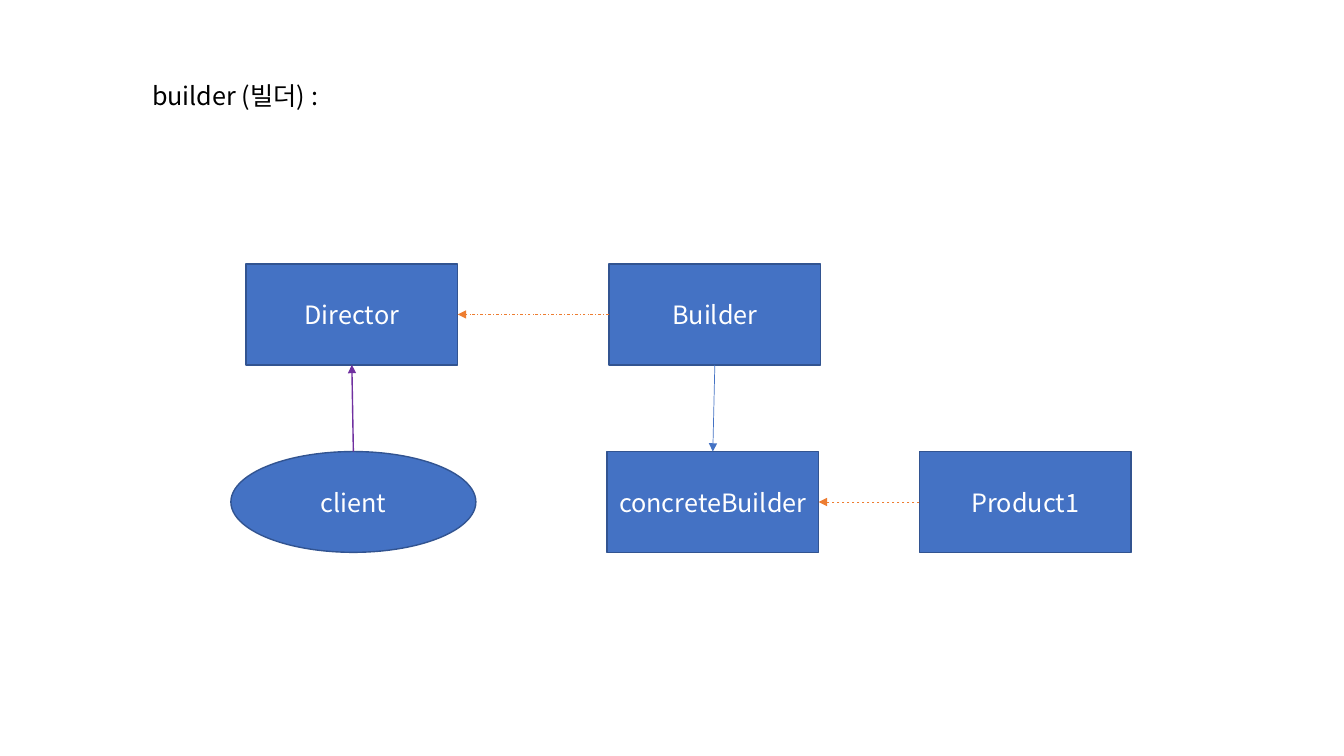
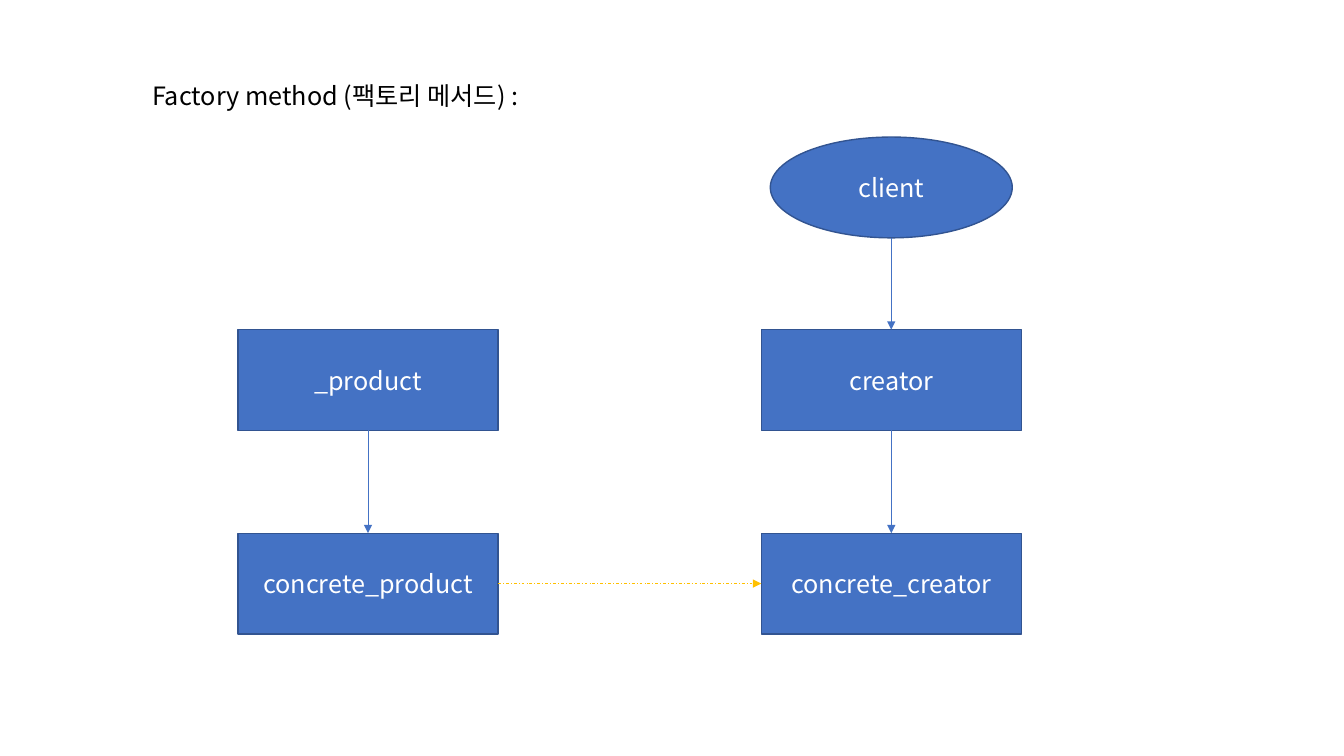
from dataclasses import dataclass

from lxml.etree import SubElement
from pptx import Presentation
from pptx.dml.color import RGBColor
from pptx.enum.dml import MSO_LINE as Dash
from pptx.enum.shapes import MSO_CONNECTOR as Connector, MSO_SHAPE as Shape
from pptx.enum.text import MSO_ANCHOR as Anchor, MSO_AUTO_SIZE as AutoSize, PP_ALIGN as Align
from pptx.oxml.ns import qn
from pptx.util import Inches, Pt


@dataclass(frozen=True)
class Theme:
    font: str = "Noto Sans CJK KR"
    size: int = 18
    black: str = "000000"
    white: str = "FFFFFF"
    blue: str = "4472C4"
    outline: str = "325491"
    orange: str = "ED7D31"
    purple: str = "7030A0"
    gold: str = "FFC000"
    thin: float = 0.5
    thick: float = 1


THEME = Theme()
TOP, LEFT, BOTTOM, RIGHT = range(4)
BOX_HEIGHT = 1


def write(frame, text, color):
    """Put one line of text in a frame, in the shared type style."""
    para = frame.paragraphs[0]
    span = para.add_run()
    span.text = text
    font = span.font
    font.name, font.size = THEME.font, Pt(THEME.size)
    font.color.rgb = RGBColor.from_string(color)
    # Hangul takes its font from the East Asian slot
    SubElement(span._r.get_or_add_rPr(), qn("a:ea"), typeface=THEME.font)
    return para


def side_point(box, side):
    """Middle of one side of a box."""
    across = {LEFT: 0, RIGHT: box.width}.get(side, box.width // 2)
    down = {TOP: 0, BOTTOM: box.height}.get(side, box.height // 2)
    return box.left + across, box.top + down


# Slide content: boxes are (name, shape, left, top, width),
# arrows are (from, side, to, side, color, line width, dash)
RECT, OVAL = Shape.RECTANGLE, Shape.OVAL
SLIDES = [
    {
        "title": "builder (빌더) :",
        "title_width": 1.98,
        "boxes": [
            ("Director", RECT, 2.44, 2.62, 2.1),
            ("Builder", RECT, 6.04, 2.62, 2.1),
            ("concreteBuilder", RECT, 6.02, 4.48, 2.1),
            ("Product1", RECT, 9.12, 4.48, 2.1),
            ("client", OVAL, 2.29, 4.48, 2.43),
        ],
        "arrows": [
            ("Builder", BOTTOM, "concreteBuilder", TOP, THEME.blue, THEME.thin, None),
            ("Builder", LEFT, "Director", RIGHT, THEME.orange, THEME.thin, Dash.DASH_DOT),
            ("Product1", LEFT, "concreteBuilder", RIGHT, THEME.orange, THEME.thin, Dash.DASH),
            ("client", TOP, "Director", BOTTOM, THEME.purple, THEME.thick, None),
        ],
    },
    {
        "title": "Factory method (팩토리 메서드) :",
        "title_width": 4.1,
        "boxes": [
            ("_product", RECT, 2.36, 3.27, 2.58),
            ("concrete_product", RECT, 2.36, 5.29, 2.58),
            ("creator", RECT, 7.55, 3.27, 2.58),
            ("concrete_creator", RECT, 7.55, 5.29, 2.58),
            ("client", OVAL, 7.64, 1.36, 2.4),
        ],
        "arrows": [
            ("_product", BOTTOM, "concrete_product", TOP, THEME.blue, THEME.thin, None),
            ("creator", BOTTOM, "concrete_creator", TOP, THEME.blue, THEME.thin, None),
            ("client", BOTTOM, "creator", TOP, THEME.blue, THEME.thin, None),
            ("concrete_product", RIGHT, "concrete_creator", LEFT, THEME.gold, THEME.thin, Dash.DASH_DOT),
        ],
    },
]

deck = Presentation()
deck.slide_width, deck.slide_height = Inches(13.33), Inches(7.5)

for content in SLIDES:
    page = deck.slides.add_slide(deck.slide_layouts[6])

    # Title
    title = page.shapes.add_textbox(
        Inches(1.41), Inches(0.75), Inches(content["title_width"]), Inches(0.4))
    title.text_frame.word_wrap = False
    title.text_frame.auto_size = AutoSize.SHAPE_TO_FIT_TEXT
    write(title.text_frame, content["title"], THEME.black)

    # Boxes
    boxes = {}
    for name, kind, left, top, width in content["boxes"]:
        box = page.shapes.add_shape(
            kind, Inches(left), Inches(top), Inches(width), Inches(BOX_HEIGHT))
        box.shadow.inherit = False
        box.fill.solid()
        box.fill.fore_color.rgb = RGBColor.from_string(THEME.blue)
        box.line.color.rgb = RGBColor.from_string(THEME.outline)
        box.line.width = Pt(THEME.thick)
        box.text_frame.vertical_anchor = Anchor.MIDDLE
        write(box.text_frame, name, THEME.white).alignment = Align.CENTER
        boxes[name] = box

    # Arrows
    for source, source_side, target, target_side, color, width, dash in content["arrows"]:
        start, end = boxes[source], boxes[target]
        arrow = page.shapes.add_connector(
            Connector.STRAIGHT, *side_point(start, source_side), *side_point(end, target_side))
        # An oval shares only its top connection site with a rectangle
        if start.auto_shape_type == RECT or source_side == TOP:
            arrow.begin_connect(start, source_side)
        arrow.end_connect(end, target_side)
        arrow.line.color.rgb = RGBColor.from_string(color)
        arrow.line.width = Pt(width)
        if dash:
            arrow.line.dash_style = dash
        SubElement(arrow.line._get_or_add_ln(), qn("a:tailEnd"), type="triangle")
        SubElement(arrow._element.spPr, qn("a:effectLst"))

deck.save("out.pptx")
